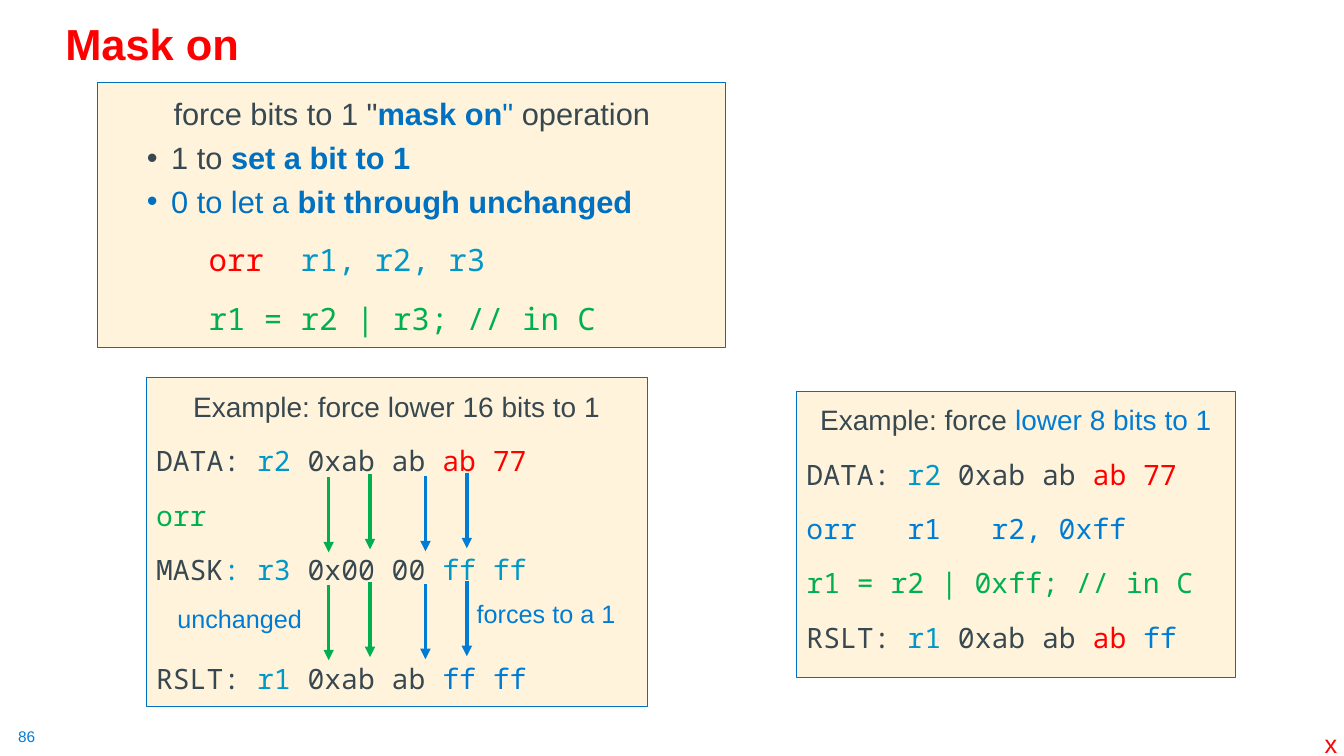
from lxml import etree
from pptx import Presentation
from pptx.dml.color import RGBColor
from pptx.enum.shapes import MSO_CONNECTOR, MSO_SHAPE
from pptx.enum.text import MSO_ANCHOR
from pptx.oxml.ns import qn
from pptx.util import Inches, Pt

SANS, MONO = "Arial", "Noto Sans Mono"
DARK, RED, GREEN = "384851", "FF0000", "00B050"
BLUE, SKY, TEAL = "0070C0", "007CD5", "0098C9"
CREAM = "FFF4DB"


def color(hex_text):
    return RGBColor.from_string(hex_text)


def add_text(frame, *runs, size=20, font=SANS, bold=False, spacing=1.2,
             before=10, indent=0.0, bullet=False):
    """Add one paragraph; each run is (text, colour) or (text, colour, bold)."""
    first = not frame.paragraphs[0].runs
    paragraph = frame.paragraphs[0] if first else frame.add_paragraph()
    properties = paragraph._p.get_or_add_pPr()
    if indent:
        properties.set("marL", str(Inches(indent)))
    if bullet:
        properties.set("lvl", "1")
        properties.set("indent", str(Inches(-0.24)))
        etree.SubElement(properties, qn("a:buFont")).set("typeface", SANS)
        etree.SubElement(properties, qn("a:buChar")).set("char", "•")
    paragraph.line_spacing = spacing
    paragraph.space_before = Pt(0 if first else before)
    for text, hex_text, *own_bold in runs:
        run = paragraph.add_run()
        run.text = text
        run.font.name, run.font.size = font, Pt(size)
        run.font.bold = own_bold[0] if own_bold else bold
        run.font.color.rgb = color(hex_text)


def add_label(slide, box, text, hex_text, wrap=False, inset=True,
              anchor=MSO_ANCHOR.TOP, **style):
    shape = slide.shapes.add_textbox(*map(Inches, box))
    frame = shape.text_frame
    frame.word_wrap, frame.vertical_anchor = wrap, anchor
    if not inset:
        frame.margin_left = frame.margin_right = 0
        frame.margin_top = frame.margin_bottom = 0
    add_text(frame, (text, hex_text), **{"spacing": 1.0, **style})


def add_panel(slide, box):
    shape = slide.shapes.add_shape(MSO_SHAPE.RECTANGLE, *map(Inches, box))
    shape.shadow.inherit = False
    shape.fill.solid()
    shape.fill.fore_color.rgb = color(CREAM)
    shape.line.color.rgb = color(BLUE)
    shape.line.width = Pt(0.75)
    frame = shape.text_frame
    frame.word_wrap, frame.vertical_anchor = True, MSO_ANCHOR.TOP
    return frame


def add_down_arrow(slide, x, y, length, hex_text):
    arrow = slide.shapes.add_connector(
        MSO_CONNECTOR.STRAIGHT, *map(Inches, (x, y, x, y + length)))
    arrow.line.color.rgb = color(hex_text)
    arrow.line.width = Pt(2.5)
    etree.SubElement(arrow.line._get_or_add_ln(), qn("a:tailEnd")).set("type", "triangle")
    etree.SubElement(arrow._element.spPr, qn("a:effectLst"))


def add_operation(slide, box):
    frame = add_panel(slide, box)
    add_text(frame, ('force bits to 1 "', DARK), ("mask on", BLUE, True),
             ('" ', BLUE), ("operation", DARK), size=22)
    point = {"size": 22, "spacing": 1.0, "before": 5, "indent": 0.63, "bullet": True}
    add_text(frame, ("1 to ", DARK), ("set a bit to 1", BLUE, True), **point)
    add_text(frame, ("0 to let a ", BLUE), ("bit through unchanged", BLUE, True), **point)
    code = {"size": 22, "font": MONO, "indent": 1.0}
    add_text(frame, ("orr", RED), ("  r1, r2, r3", TEAL), **code)
    add_text(frame, ("r1 = r2 | r3; // in C", GREEN), **code)


def add_data_row(frame):
    add_text(frame, ("DATA: ", DARK), ("r2", TEAL), (" 0xab ab ", DARK),
             ("ab 77", RED), font=MONO)


def add_lower_16(slide, box):
    left, top = box[:2]
    frame = add_panel(slide, box)
    add_text(frame, ("Example: force lower 16 bits to 1", DARK))
    add_data_row(frame)
    add_text(frame, ("orr", GREEN), font=MONO)
    add_text(frame, ("MASK", DARK), (": r3 ", TEAL), ("0x00 00 ", DARK),
             ("ff ff", TEAL), font=MONO)
    add_text(frame, ("RSLT: ", DARK), ("r1", TEAL), (" 0xab ab ", DARK),
             ("ff ff", SKY), font=MONO, before=49)
    # One arrow per byte, from data to mask and from mask to result
    byte_arrows = [(1.81, 0.98, GREEN), (2.22, 0.95, GREEN),
                   (2.77, 0.97, SKY), (3.18, 0.94, SKY)]
    for step in range(2):
        for x, y, hex_text in byte_arrows:
            add_down_arrow(slide, left + x, top + y + step * 1.07, 0.75, hex_text)
    add_label(slide, (left + 3.18, top + 2.14, 1.59, 0.4), "forces to a 1", SKY, size=18)
    add_label(slide, (left + 0.21, top + 2.19, 1.45, 0.4), "unchanged", SKY, size=18)


def add_lower_8(slide, box):
    frame = add_panel(slide, box)
    add_text(frame, ("Example: force ", DARK), ("lower 8 bits to 1", SKY))
    add_data_row(frame)
    add_text(frame, ("orr   r1   r2, 0xff", SKY), font=MONO)
    add_text(frame, ("r1 = r2 | 0xff; // in C", GREEN), font=MONO)
    add_text(frame, ("RSLT: ", DARK), ("r1", TEAL), (" 0xab ab ", DARK),
             ("ab", RED), (" ff", SKY), font=MONO)


def main():
    presentation = Presentation()
    presentation.slide_width, presentation.slide_height = Inches(13.33), Inches(7.5)
    slide = presentation.slides.add_slide(presentation.slide_layouts[6])
    # Page number, title and corner mark
    add_label(slide, (0.18, 7.21, 0.19, 0.19), "86", SKY, size=11, inset=False)
    add_label(slide, (0.55, 0.13, 11.5, 0.61), "Mask on", RED, size=31, bold=True,
              spacing=0.9, wrap=True, anchor=MSO_ANCHOR.BOTTOM)
    add_label(slide, (13.04, 7.18, 0.33, 0.4), "x", RED, size=18)
    # Panels
    add_operation(slide, (0.97, 0.82, 6.23, 2.63))
    add_lower_16(slide, (1.45, 3.75, 4.97, 3.26))
    add_lower_8(slide, (7.9, 3.88, 4.35, 2.84))
    presentation.save("out.pptx")


if __name__ == "__main__":
    main()
